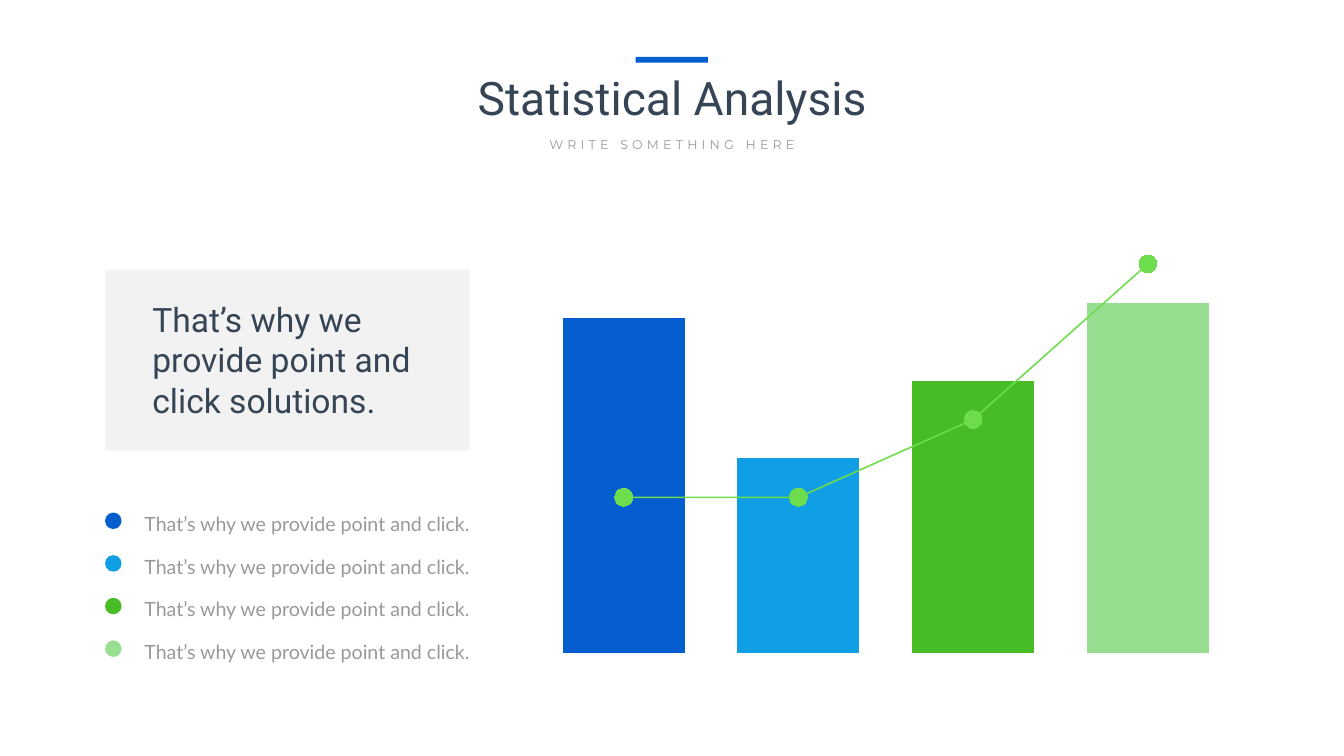
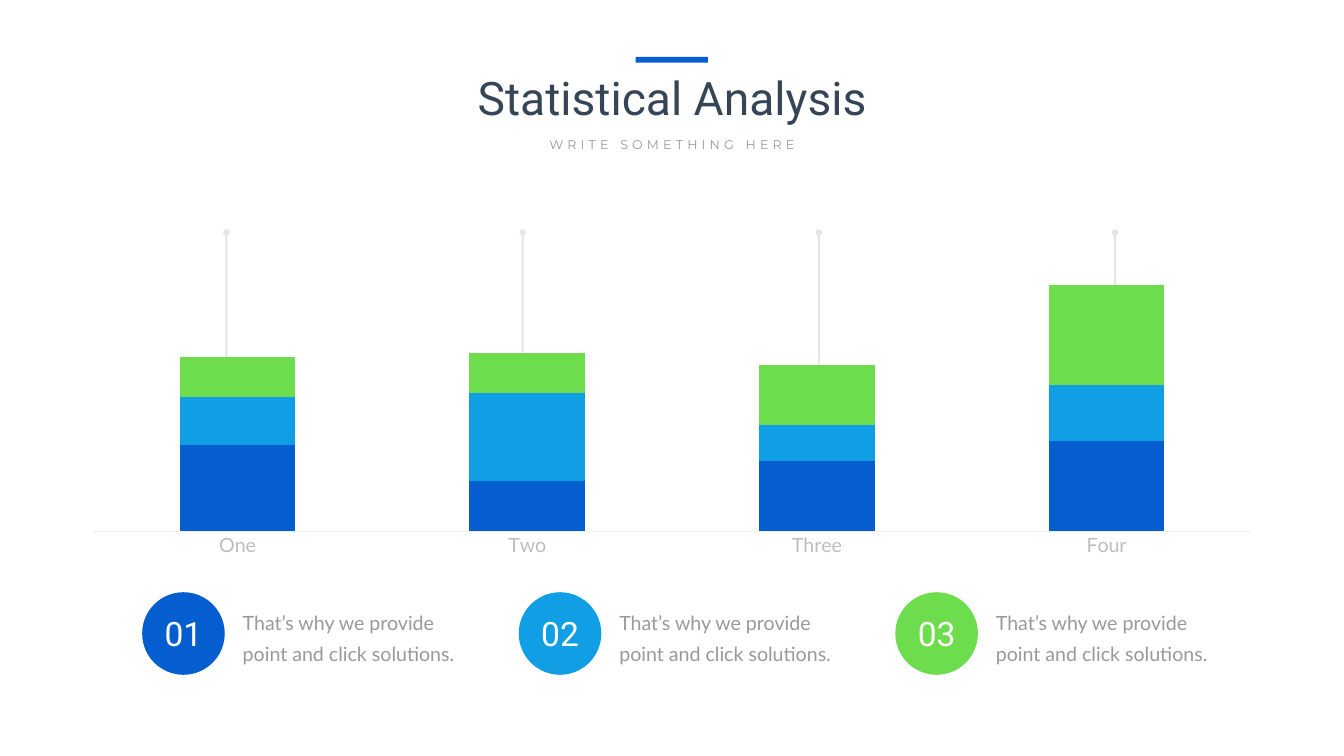
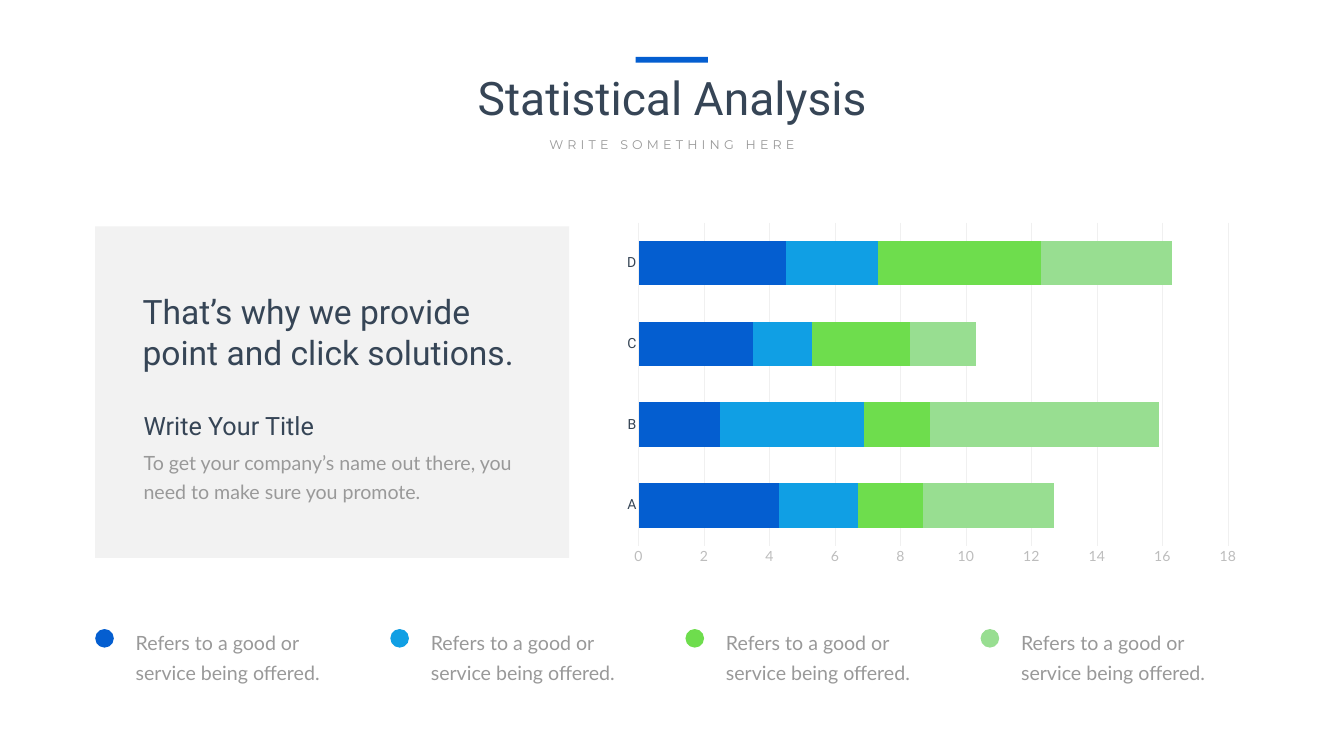
"""Build three statistical analysis slides with charts, panels and legends."""
import copy
from collections import namedtuple
from dataclasses import dataclass

import pptx
import pptx.chart.data
import pptx.dml.color
import pptx.enum.chart
import pptx.enum.shapes
import pptx.enum.text
import pptx.oxml
import pptx.oxml.ns
import pptx.util
from pptx.util import Pt

Style = namedtuple("Style", "font size color spacing", defaults=(None,))
SHAPES = pptx.enum.shapes.MSO_SHAPE
CHARTS = pptx.enum.chart.XL_CHART_TYPE
CENTER = pptx.enum.text.PP_ALIGN.CENTER
TITLE_ONLY = 5
PROMISE = "That’s why we provide point and click solutions."


@dataclass(frozen=True)
class Theme:
    """Colours and type styles shared by all slides."""
    blue: str = "045ED0"
    sky: str = "109FE4"
    leaf: str = "47BC24"
    lime: str = "6EDD4D"
    mint: str = "98DE91"
    gray: str = "808080"
    rule: str = "F0F0F0"
    title: Style = Style("Roboto", 66, "364556")
    subtitle: Style = Style("Montserrat", 18, "999999")
    lead: Style = Style("Roboto", 48, "364556")
    number: Style = Style("Roboto", 48, "FFFFFF")
    heading: Style = Style("Roboto", 36, "364556")
    body: Style = Style("Lato", 28, "999999", 43)
    panel_body: Style = Style("Lato", 28, "999999", 40.8)
    categories: Style = Style("Lato", 28, "BDBDBD")
    letters: Style = Style("Roboto", 20, "364556")
    ticks: Style = Style("Lato", 20, "BDBDBD")
    plain: Style = Style("Calibri", 10, "999999")


THEME = Theme()


class Box(namedtuple("Box", "left top width height")):
    """A rectangle in points."""

    def inner(self, left, top, width, height):
        """Return a box placed relative to this one."""
        return Box(self.left + left, self.top + top, width, height)

    def lengths(self):
        """Return the four lengths for python-pptx."""
        return [Pt(value) for value in self]


def rgb(color):
    """Return the colour object for a hex string."""
    return pptx.dml.color.RGBColor.from_string(color)


def paint(fill, color):
    """Fill with one solid colour."""
    fill.solid()
    fill.fore_color.rgb = rgb(color)


def set_alpha(drawn, percent):
    """Make the coloured part of a shape partly transparent."""
    for color in drawn._element.spPr.iter(pptx.oxml.ns.qn("a:srgbClr")):
        alpha = color.makeelement(pptx.oxml.ns.qn("a:alpha"), {"val": str(percent * 1000)})
        color.append(alpha)


def style_font(font, style):
    """Apply a type style to a font."""
    font.name = style.font
    font.size = Pt(style.size)
    font.color.rgb = rgb(style.color)


def write(frame, text, style, align=None):
    """Write one formatted paragraph in a text frame."""
    frame.text = text
    frame.word_wrap = True
    paragraph = frame.paragraphs[0]
    paragraph.alignment = align
    if style.spacing:
        paragraph.line_spacing = Pt(style.spacing)
    style_font(paragraph.runs[0].font, style)
    return paragraph.runs[0]


def add_text(slide, box, text, style, align=None):
    """Add a text box and return its run."""
    frame = slide.shapes.add_textbox(*box.lengths()).text_frame
    return write(frame, text, style, align)


def add_flat(slide, preset, box, color):
    """Add a preset shape with a plain fill only."""
    flat = slide.shapes.add_shape(preset, *box.lengths())
    flat.shadow.inherit = False
    paint(flat.fill, color)
    flat.line.fill.background()
    return flat


def add_header(slide, box):
    """Place the title, its subtitle and the accent bar."""
    title = slide.shapes.title
    title.left, title.top, title.width, title.height = box.inner(0, 13.7, box.width, 87).lengths()
    write(title.text_frame, "Statistical Analysis", THEME.title, CENTER)
    title.text_frame.vertical_anchor = pptx.enum.text.MSO_ANCHOR.TOP
    title.text_frame.auto_size = pptx.enum.text.MSO_AUTO_SIZE.NONE
    subtitle = add_text(slide, box.inner(188, 110.2, 429, 28.8), "WRITE SOMETHING HERE",
                        THEME.subtitle, CENTER)
    subtitle._r.get_or_add_rPr().set("spc", "600")
    add_flat(slide, SHAPES.RECTANGLE, box.inner(350.6, 0, 103, 8), THEME.blue)


def add_panel(slide, box, texts):
    """Draw a pale panel with texts placed inside it."""
    panel = add_flat(slide, SHAPES.RECTANGLE, box, THEME.gray)
    set_alpha(panel, 10)
    for place, text, style in texts:
        add_text(slide, box.inner(*place), text, style)


def add_chart(slide, box, kind, categories, series, colors, gap):
    """Add a chart with coloured bars and no legend."""
    chart_data = pptx.chart.data.CategoryChartData()
    chart_data.categories = categories
    for index, values in enumerate(series, 1):
        chart_data.add_series(f"Series {index}", values)
    chart = slide.shapes.add_chart(kind, *box.lengths(), chart_data).chart
    chart.has_legend = False
    chart.has_title = False
    style_font(chart.font, THEME.plain)
    plot = chart.plots[0]
    plot.gap_width = gap
    plot.overlap = 100
    plot.vary_by_categories = False
    for bars, color in zip(plot.series, colors):
        paint(bars.format.fill, color)
        bars.invert_if_negative = False
    chart.value_axis.minimum_scale = 0
    chart.value_axis.has_major_gridlines = False
    return chart


def style_axis(axis, style):
    """Give an axis its labels and a thin line without ticks."""
    axis.major_tick_mark = pptx.enum.chart.XL_TICK_MARK.NONE
    axis.minor_tick_mark = pptx.enum.chart.XL_TICK_MARK.NONE
    style_font(axis.tick_labels.font, style)
    style_rule(axis.format.line)


def style_rule(line):
    """Draw a thin pale line."""
    line.color.rgb = rgb(THEME.rule)
    line.width = Pt(0.75)


def turn_last_series_to_line(chart, color):
    """Move the last bar series to a line plot on the same axes."""
    qn = pptx.oxml.ns.qn
    bar_plot = chart.plots[0]._element
    trend = bar_plot.findall(qn("c:ser"))[-1]
    line_plot = pptx.oxml.parse_xml(
        f'<c:lineChart {pptx.oxml.ns.nsdecls("c")}><c:grouping val="standard"/>'
        '<c:varyColors val="0"/><c:marker val="1"/></c:lineChart>')
    trend.remove(trend.find(qn("c:invertIfNegative")))
    line_plot.insert(2, trend)
    for axis_id in bar_plot.findall(qn("c:axId")):
        line_plot.append(copy.deepcopy(axis_id))
    bar_plot.addnext(line_plot)
    line = chart.plots[1].series[0]
    line.smooth = False
    line.format.line.color.rgb = rgb(color)
    line.format.line.width = Pt(2.25)
    line.marker.style = pptx.enum.chart.XL_MARKER_STYLE.CIRCLE
    line.marker.size = 25
    paint(line.marker.format.fill, color)
    line.marker.format.line.fill.background()


def add_trend_chart(slide, box):
    """Draw columns in four colours with a trend line over them."""
    series = [(86, 50, 70, 90), (None,) * 4, (40, 40, 60, 100)]
    chart = add_chart(slide, box, CHARTS.COLUMN_CLUSTERED, "1234", series,
                      (THEME.blue, THEME.sky, THEME.lime), 43)
    columns = chart.plots[0].series[0]
    for index, color in enumerate((THEME.sky, THEME.leaf, THEME.mint), 1):
        paint(columns.points[index].format.fill, color)
    turn_last_series_to_line(chart, THEME.lime)
    chart.value_axis.maximum_scale = 120
    chart.value_axis.visible = False
    chart.category_axis.visible = False


def add_stacked_columns(slide, box):
    """Draw the stacked columns above their category names."""
    series = [(86, 50, 70, 90), (48, 88, 36, 56), (40, 40, 60, 100)]
    chart = add_chart(slide, box, CHARTS.COLUMN_STACKED, ("One", "Two", "Three", "Four"),
                      series, (THEME.blue, THEME.sky, THEME.lime), 150)
    chart.value_axis.maximum_scale = 280
    chart.value_axis.visible = False
    style_axis(chart.category_axis, THEME.categories)


def add_stacked_bars(slide, box):
    """Draw the stacked bars with a value scale and gridlines."""
    series = [(4.3, 2.5, 3.5, 4.5), (2.4, 4.4, 1.8, 2.8), (2, 2, 3, 5), (4, 7, 2, 4)]
    chart = add_chart(slide, box, CHARTS.BAR_STACKED, "ABCD", series,
                      (THEME.blue, THEME.sky, THEME.lime, THEME.mint), 81)
    style_axis(chart.category_axis, THEME.letters)
    scale = chart.value_axis
    style_axis(scale, THEME.ticks)
    scale.format.line.fill.background()
    scale.maximum_scale = 18
    scale.major_unit = 2
    scale.has_major_gridlines = True
    style_rule(scale.major_gridlines.format.line)


def add_stems(slide, box):
    """Draw evenly spaced vertical stems with a round tip."""
    for index in range(4):
        x = Pt(box.left + index * box.width / 3)
        stem = slide.shapes.add_connector(pptx.enum.shapes.MSO_CONNECTOR.STRAIGHT, x,
                                          Pt(box.top + box.height), x, Pt(box.top))
        stem.line.color.rgb = rgb(THEME.gray)
        stem.line.width = Pt(3)
        set_alpha(stem, 20)
        qn = pptx.oxml.ns.qn
        outline = stem.line._get_or_add_ln()
        outline.append(outline.makeelement(qn("a:tailEnd"), {"type": "oval"}))
        properties = stem._element.spPr
        properties.append(properties.makeelement(qn("a:effectLst"), {}))


def add_list_legend(slide, box):
    """Stack dots with one line of text each."""
    pitch = box.height / 4
    for index, color in enumerate((THEME.blue, THEME.sky, THEME.leaf, THEME.mint)):
        top = index * pitch
        add_flat(slide, SHAPES.OVAL, box.inner(0, top, 23.6, 23.6), color)
        add_text(slide, box.inner(49.2, top - 14, box.width - 49.2, 46),
                 "That’s why we provide point and click.", THEME.body)


def add_numbered_legend(slide, box):
    """Set numbered circles in a row with a text beside each."""
    pitch = box.width / 3
    for index, color in enumerate((THEME.blue, THEME.sky, THEME.lime)):
        item = box.inner(index * pitch, 0, pitch, box.height)
        add_flat(slide, SHAPES.OVAL, item.inner(0, 0, box.height, box.height), color)
        add_text(slide, item.inner(23.4, 26.6, 71.3, 65.5), f"{index + 1:02}",
                 THEME.number, CENTER)
        add_text(slide, item.inner(136.6, 14.4, 334.8, 89.3), PROMISE, THEME.body)


def add_row_legend(slide, box):
    """Set dots in a row with a two-line text beside each."""
    pitch = box.width / 4
    for index, color in enumerate((THEME.blue, THEME.sky, THEME.lime, THEME.mint)):
        left = index * pitch
        add_flat(slide, SHAPES.OVAL, box.inner(left, 0, 26.6, 26.6), color)
        note = slide.shapes.add_textbox(*box.inner(left + 40.5, -15, 342, box.height).lengths())
        frame = note.text_frame
        frame.margin_left = frame.margin_right = Pt(17.28)
        frame.margin_top = frame.margin_bottom = Pt(8.64)
        write(frame, "Refers to a good or service being offered.", THEME.body)


def build_trend_slide(slide):
    """Fill the slide with the columns and the trend line."""
    add_trend_chart(slide, Box(745.2, 252, 1039.7, 694.8))
    add_list_legend(slide, Box(150, 732.2, 546, 243.6))
    add_panel(slide, Box(150, 385.2, 520.6, 258.5),
              [((60.5, 38.2, 399.6, 181.4), PROMISE, THEME.lead)])


def build_columns_slide(slide):
    """Fill the slide with the stacked columns."""
    add_stems(slide, Box(323.3, 332, 1269.3, 414.7))
    add_stacked_columns(slide, Box(98, 349.2, 1723.7, 455.8))
    add_numbered_legend(slide, Box(203, 846, 1613.5, 118))


def build_bars_slide(slide):
    """Fill the slide with the stacked bars."""
    add_row_legend(slide, Box(136, 898.6, 1686, 100))
    add_stacked_bars(slide, Box(877.7, 308.2, 905.8, 509))
    add_panel(slide, Box(136, 323.3, 676.8, 473.8), [
        ((62, 310.3, 556.6, 85.7),
         "To get your company’s name out there, you need to make sure you promote.",
         THEME.panel_body),
        ((62, 259.2, 412.6, 51), "Write Your Title", THEME.heading),
        ((60.5, 89.3, 556.6, 123.8), PROMISE, THEME.lead)])


def main():
    """Build and save the presentation."""
    deck = pptx.Presentation()
    deck.slide_width, deck.slide_height = Pt(1919.52), Pt(1080)
    for build in (build_trend_slide, build_columns_slide, build_bars_slide):
        slide = deck.slides.add_slide(deck.slide_layouts[TITLE_ONLY])
        add_header(slide, Box(557.3, 81.4, 805.7, 140))
        build(slide)
    deck.save("out.pptx")


if __name__ == "__main__":
    main()
